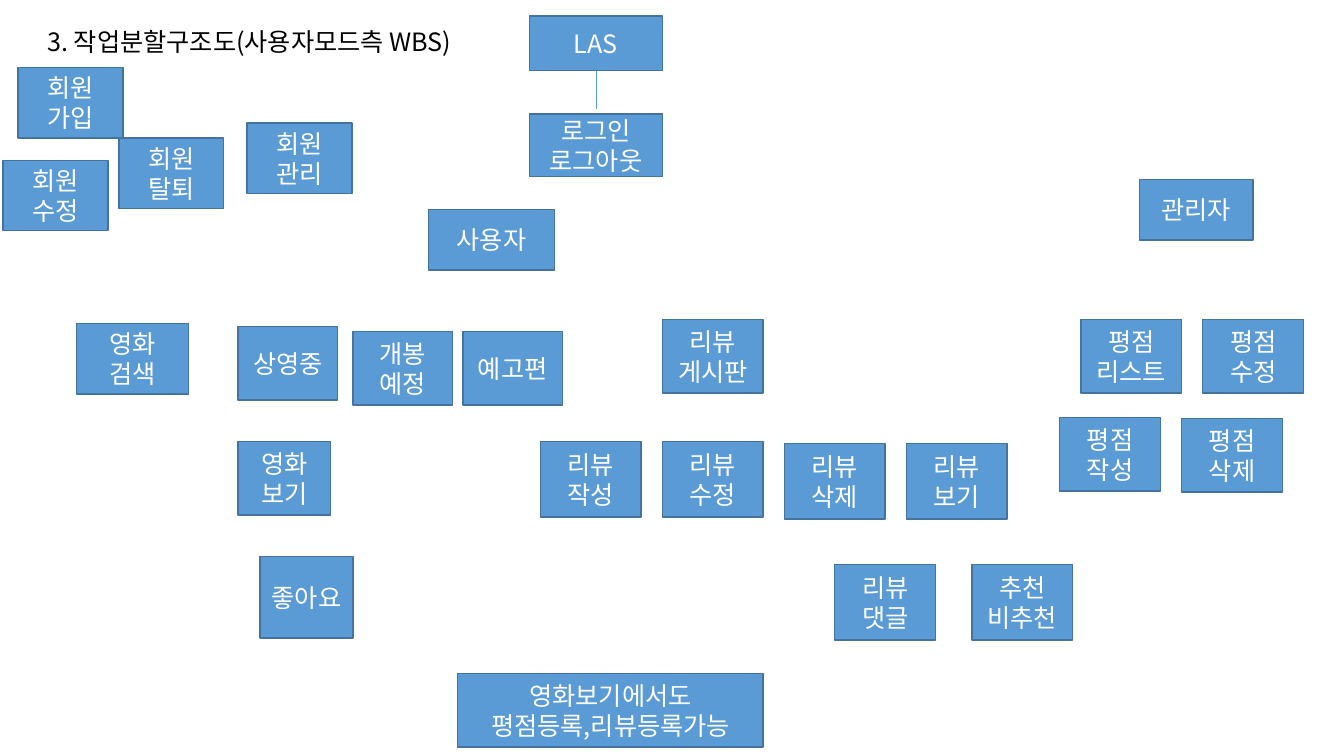
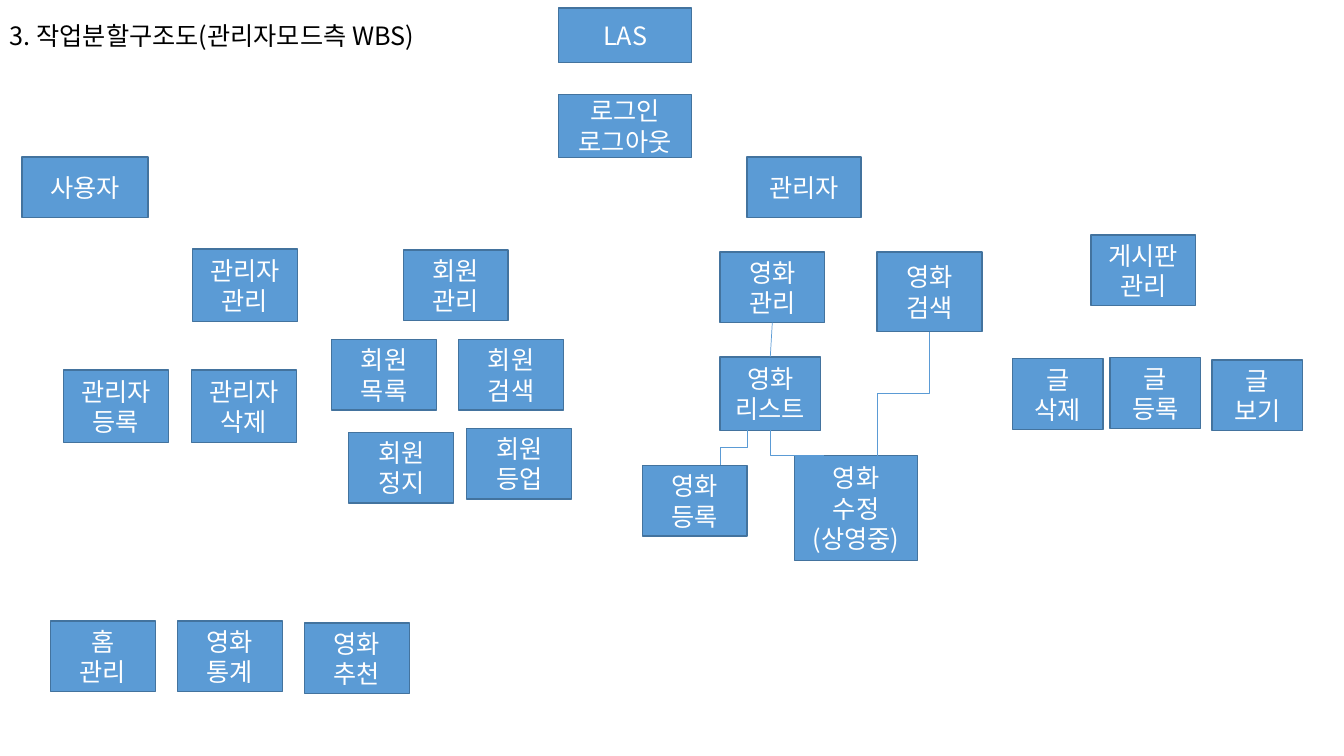
"""Build two work breakdown structure slides, one for users and one for administrators."""
from dataclasses import dataclass
from typing import NamedTuple

from lxml import etree
from pptx import Presentation
from pptx.dml.color import RGBColor
from pptx.enum.shapes import MSO_CONNECTOR, MSO_SHAPE
from pptx.enum.text import MSO_ANCHOR, MSO_AUTO_SIZE, PP_ALIGN
from pptx.oxml.ns import qn
from pptx.util import Inches, Pt

RECT = MSO_SHAPE.RECTANGLE
STRAIGHT, ELBOW = MSO_CONNECTOR.STRAIGHT, MSO_CONNECTOR.ELBOW
LEFT, CENTER = PP_ALIGN.LEFT, PP_ALIGN.CENTER
MIDDLE = MSO_ANCHOR.MIDDLE
FIT_SHAPE = MSO_AUTO_SIZE.SHAPE_TO_FIT_TEXT


@dataclass(frozen=True)
class Theme:
    font: str = "Noto Sans CJK KR"
    size: float = 18
    title: str = "000000"
    label: str = "FFFFFF"
    fill: str = "5B9BD5"
    border: str = "43739E"
    border_width: float = 1
    link: str = "5B9BD5"
    link_width: float = 0.5


class Size(NamedTuple):
    width: float
    height: float


class Row(NamedTuple):
    left: float
    top: float
    size: Size
    labels: tuple[str, ...]
    step: float = 0


class Link(NamedTuple):
    x1: float
    y1: float
    x2: float
    y2: float
    preset: str = "line"


@dataclass(frozen=True)
class Chart:
    title: str
    title_left: float
    title_top: float
    rows: tuple[Row, ...]
    links: tuple[Link, ...]


THEME = Theme()
ROOT, LOGIN = Size(1.32, 0.54), Size(1.32, 0.62)
USER, ADMIN = Size(1.25, 0.6), Size(1.13, 0.6)
MEMBER, MANAGER, POST = Size(1.04, 0.7), Size(1.04, 0.72), Size(0.9, 0.7)
CARD, REVIEW, SHOWING = Size(1, 0.73), Size(1, 0.75), Size(0.99, 0.73)

USER_CHART = Chart(
    "3. 작업분할구조도(사용자모드측 WBS)", 0.37, 0.21,
    rows=(
        Row(5.25, 0.16, ROOT, ("LAS",)),
        Row(5.25, 1.13, LOGIN, ("로그인\n로그아웃",)),
        Row(4.25, 2.08, USER, ("사용자",)),
        Row(11.3, 1.78, ADMIN, ("관리자",)),
        Row(2.45, 1.22, MEMBER, ("회원\n관리",)),
        Row(0.18, 0.67, MEMBER, ("회원\n가입",)),
        Row(1.18, 1.37, MEMBER, ("회원\n탈퇴",)),
        Row(0.03, 1.59, MEMBER, ("회원\n수정",)),
        Row(0.76, 3.21, Size(1.11, 0.7), ("영화\n검색",)),
        Row(2.36, 3.24, SHOWING, ("상영중",)),
        Row(3.5, 3.29, SHOWING, ("개봉\n예정", "예고편"), 1.09),
        Row(2.36, 4.38, Size(0.92, 0.73), ("영화\n보기",)),
        Row(2.58, 5.52, Size(0.92, 0.81), ("좋아요",)),
        Row(6.57, 3.17, CARD, ("리뷰\n게시판",)),
        Row(5.36, 4.38, REVIEW, ("리뷰\n작성", "리뷰\n수정"), 1.21),
        Row(7.78, 4.4, REVIEW, ("리뷰\n삭제", "리뷰\n보기"), 1.21),
        Row(8.28, 5.6, REVIEW, ("리뷰\n댓글", "추천\n비추천"), 1.36),
        Row(10.72, 3.17, CARD, ("평점\n리스트", "평점\n수정"), 1.21),
        Row(10.51, 4.14, CARD, ("평점\n작성",)),
        Row(11.72, 4.15, CARD, ("평점\n삭제",)),
        Row(4.54, 6.68, Size(3.03, 0.73), ("영화보기에서도\n평점등록,리뷰등록가능",)),
    ),
    links=(Link(5.91, 0.7, 5.91, 1.08),),
)

ADMIN_CHART = Chart(
    "3. 작업분할구조도(관리자모드측 WBS)", 0, 0.15,
    rows=(
        Row(5.54, 0.08, ROOT, ("LAS",)),
        Row(5.54, 0.94, LOGIN, ("로그인\n로그아웃",)),
        Row(0.22, 1.56, USER, ("사용자",)),
        Row(7.41, 1.56, ADMIN, ("관리자",)),
        Row(1.91, 2.47, MANAGER, ("관리자\n관리",)),
        Row(0.63, 3.67, MANAGER, ("관리자\n등록", "관리자\n삭제"), 1.27),
        Row(4, 2.48, MEMBER, ("회원\n관리",)),
        Row(3.29, 3.37, MEMBER, ("회원\n목록", "회원\n검색"), 1.26),
        Row(3.46, 4.29, MEMBER, ("회원\n정지",)),
        Row(4.63, 4.25, MEMBER, ("회원\n등업",)),
        Row(7.14, 2.5, MEMBER, ("영화\n관리",)),
        Row(8.7, 2.5, Size(1.04, 0.79), ("영화\n검색",)),
        Row(7.14, 3.54, CARD, ("영화\n리스트",)),
        Row(6.37, 4.62, MEMBER, ("영화\n등록",)),
        Row(7.88, 4.52, Size(1.22, 1.04), ("영화\n수정\n(상영중)",)),
        Row(10.82, 2.33, MEMBER, ("게시판\n관리",)),
        Row(10.04, 3.56, POST, ("글\n삭제",)),
        Row(11.01, 3.55, POST, ("글\n등록",)),
        Row(12.02, 3.57, POST, ("글\n보기",)),
        Row(0.5, 6.16, MEMBER, ("홈\n관리", "영화\n통계"), 1.26),
        Row(3.02, 6.18, MEMBER, ("영화\n추천",)),
    ),
    links=(
        Link(9.22, 3.29, 8.7, 4.52, "bentConnector3"),
        Link(7.66, 3.2, 7.64, 3.54),
        Link(7.64, 4.27, 8.17, 4.52, "bentConnector2"),
        Link(7.41, 4.27, 7.14, 4.61, "bentConnector3"),
    ),
)


def write_text(tf, text: str, *, color: str, align=LEFT) -> None:
    tf.word_wrap = True
    tf.text = text
    for p in tf.paragraphs:
        p.alignment = align
        for r in p.runs:
            r.font.name = THEME.font
            r.font.size = Pt(THEME.size)
            r.font.color.rgb = RGBColor.from_string(color)
            ea = etree.SubElement(r.font._element, qn("a:ea"))
            ea.set("typeface", THEME.font)


def add_title(slide, chart: Chart) -> None:
    sp = slide.shapes.add_textbox(
        Inches(chart.title_left), Inches(chart.title_top), Inches(5.21), Inches(0.4))
    write_text(sp.text_frame, chart.title, color=THEME.title)
    sp.text_frame.auto_size = FIT_SHAPE


def add_row(slide, row: Row) -> None:
    for i, label in enumerate(row.labels):
        sp = slide.shapes.add_shape(
            RECT, Inches(row.left + i * row.step), Inches(row.top),
            Inches(row.size.width), Inches(row.size.height))
        sp.shadow.inherit = False
        sp.fill.solid()
        sp.fill.fore_color.rgb = RGBColor.from_string(THEME.fill)
        sp.line.color.rgb = RGBColor.from_string(THEME.border)
        sp.line.width = Pt(THEME.border_width)
        sp.text_frame.vertical_anchor = MIDDLE
        write_text(sp.text_frame, label, color=THEME.label, align=CENTER)


def add_link(slide, link: Link) -> None:
    x1, y1, x2, y2, preset = link
    bent = preset != "line"
    dx = x2 - x1
    if bent:
        cx, cy = (x1 + x2) / 2, (y1 + y2) / 2
        half_w, half_h = (y2 - y1) / 2, abs(dx) / 2
        x1, y1, x2, y2 = cx - half_w, cy - half_h, cx + half_w, cy + half_h
    sp = slide.shapes.add_connector(
        ELBOW if bent else STRAIGHT, Inches(x1), Inches(y1), Inches(x2), Inches(y2))
    sp.line.color.rgb = RGBColor.from_string(THEME.link)
    sp.line.width = Pt(THEME.link_width)
    props = sp._element.spPr
    etree.SubElement(props, qn("a:effectLst"))
    if bent:
        xfrm = props.find(qn("a:xfrm"))
        xfrm.set("rot", str((270 if dx > 0 else 90) * 60000))
        if dx > 0:
            xfrm.set("flipH", "1")
        props.find(qn("a:prstGeom")).set("prst", preset)


def main() -> None:
    prs = Presentation()
    prs.slide_width, prs.slide_height = Inches(13.33), Inches(7.5)
    for chart in (USER_CHART, ADMIN_CHART):
        slide = prs.slides.add_slide(prs.slide_layouts[6])
        add_title(slide, chart)
        for row in chart.rows:
            add_row(slide, row)
        for link in chart.links:
            add_link(slide, link)
    prs.save("out.pptx")


if __name__ == "__main__":
    main()
